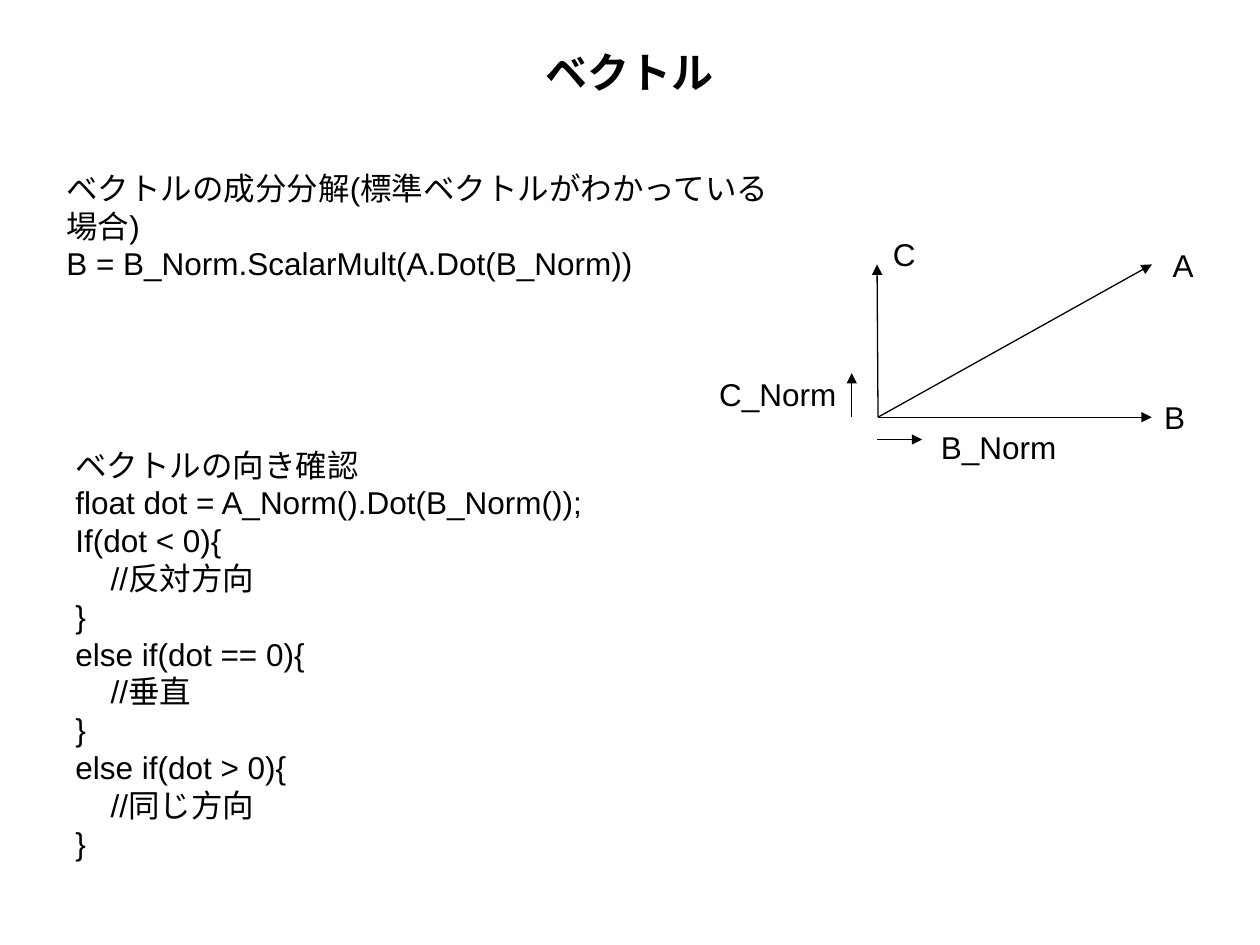
import dataclasses

import pptx
import pptx.dml.color
import pptx.enum.shapes
import pptx.enum.text
import pptx.oxml.ns
import pptx.util
from lxml import etree

Cm = pptx.util.Cm
Pt = pptx.util.Pt
qn = pptx.oxml.ns.qn


@dataclasses.dataclass(frozen=True)
class Theme:
    font: str = "Arial"
    ink: str = "000000"
    title_size: float = 24
    body_size: float = 18
    line_width: float = 0.75
    indent: float = 0.71  # cm per code level


THEME = Theme()

DECOMPOSITION = [
    (0, "ベクトルの成分分解(標準ベクトルがわかっている場合)"),
    (0, "B = B_Norm.ScalarMult(A.Dot(B_Norm))"),
]
DIRECTION_CHECK = [
    (0, "ベクトルの向き確認"),
    (0, "float dot = A_Norm().Dot(B_Norm());"),
    (0, "If(dot < 0){"),
    (1, "//反対方向"),
    (0, "}"),
    (0, "else if(dot == 0){"),
    (1, "//垂直"),
    (0, "}"),
    (0, "else if(dot > 0){"),
    (1, "//同じ方向"),
    (0, "}"),
]


def ink():
    return pptx.dml.color.RGBColor.from_string(THEME.ink)


def add_run(p, text, size, bold=False):
    r = p.add_run()
    r.text = text
    r.font.name = THEME.font
    r.font.size = Pt(size)
    r.font.bold = bold
    r.font.color.rgb = ink()


def place_title(s, box, text):
    sp = s.shapes.title
    sp.left, sp.top, sp.width, sp.height = (Cm(v) for v in box)
    tf = sp.text_frame
    tf.vertical_anchor = pptx.enum.text.MSO_ANCHOR.MIDDLE
    p = tf.paragraphs[0]
    p.alignment = pptx.enum.text.PP_ALIGN.CENTER
    add_run(p, text, THEME.title_size, bold=True)


def add_lines(s, box, lines, wrap=True):
    """Add a text box of (indent level, text) lines."""
    tf = s.shapes.add_textbox(*(Cm(v) for v in box)).text_frame
    tf.word_wrap = wrap
    tf.auto_size = pptx.enum.text.MSO_AUTO_SIZE.SHAPE_TO_FIT_TEXT
    for i, (level, text) in enumerate(lines):
        p = tf.add_paragraph() if i else tf.paragraphs[0]
        if level:
            p._p.get_or_add_pPr().set("marL", str(Cm(level * THEME.indent)))
        add_run(p, text, THEME.body_size)


def add_arrow(s, start, end):
    cxn = s.shapes.add_connector(
        pptx.enum.shapes.MSO_CONNECTOR.STRAIGHT, *(Cm(v) for v in (*start, *end)))
    cxn.line.color.rgb = ink()
    cxn.line.width = Pt(THEME.line_width)
    etree.SubElement(cxn.line._get_or_add_ln(), qn("a:tailEnd"), type="triangle")
    etree.SubElement(cxn._element.spPr, qn("a:effectLst"))


def add_vector_diagram(s, box):
    left, top, width, height = box
    origin_x, origin_y = 3.45, 3.79
    axis_x, axis_y = 3.43, 0.71
    tip_x = 8.97
    arrows = [
        ((origin_x, origin_y), (axis_x, axis_y)),  # C
        ((origin_x, origin_y), (tip_x, origin_y)),  # B
        ((origin_x, origin_y), (tip_x, axis_y)),  # A
        ((axis_x, 4.24), (4.34, 4.24)),  # B_Norm
        ((2.92, origin_y), (2.92, 2.9)),  # C_Norm
    ]
    for start, end in arrows:
        add_arrow(s, *((left + x, top + y) for x, y in (start, end)))

    label_h, short_w, norm_w = 1.02, 0.94, 3.18
    labels = [
        ("A", width - short_w, 0.21, short_w),
        ("B", tip_x, 3.28, short_w),
        ("C", 3.5, 0, short_w),
        ("B_Norm", 4.47, height - label_h, norm_w),
        ("C_Norm", 0, 2.82, norm_w),
    ]
    for text, x, y, w in labels:
        add_lines(s, (left + x, top + y, w, label_h), [(0, text)], wrap=w == norm_w)


def main():
    prs = pptx.Presentation()
    prs.slide_width, prs.slide_height = Cm(25.4), Cm(19.05)
    s = prs.slides.add_slide(prs.slide_layouts[5])
    place_title(s, (1.27, 0.76, 22.86, 1.37), "ベクトル")
    add_lines(s, (1.09, 3.28, 15.16, 2.57), DECOMPOSITION)
    add_vector_diagram(s, (14.25, 4.62, 10.08, 4.91))
    add_lines(s, (1.27, 8.86, 15.16, 8.71), DIRECTION_CHECK)
    prs.save("out.pptx")


if __name__ == "__main__":
    main()
